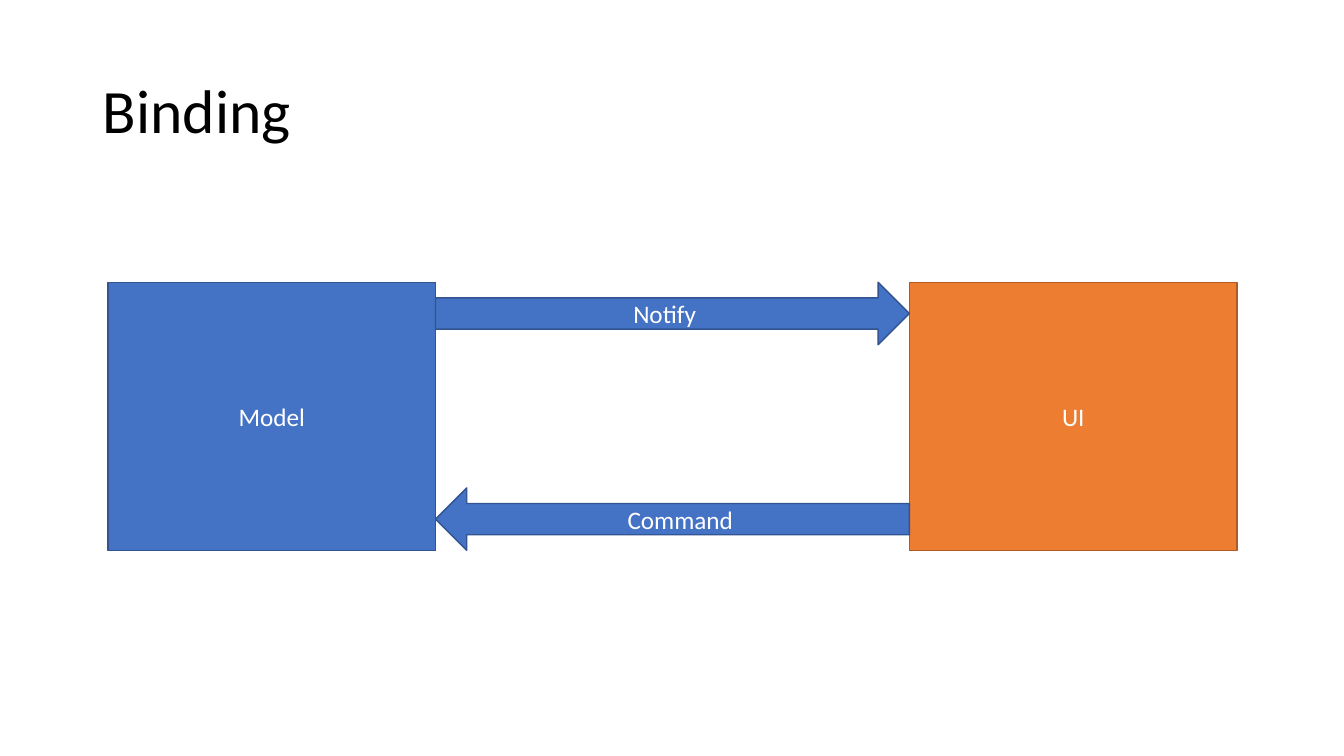
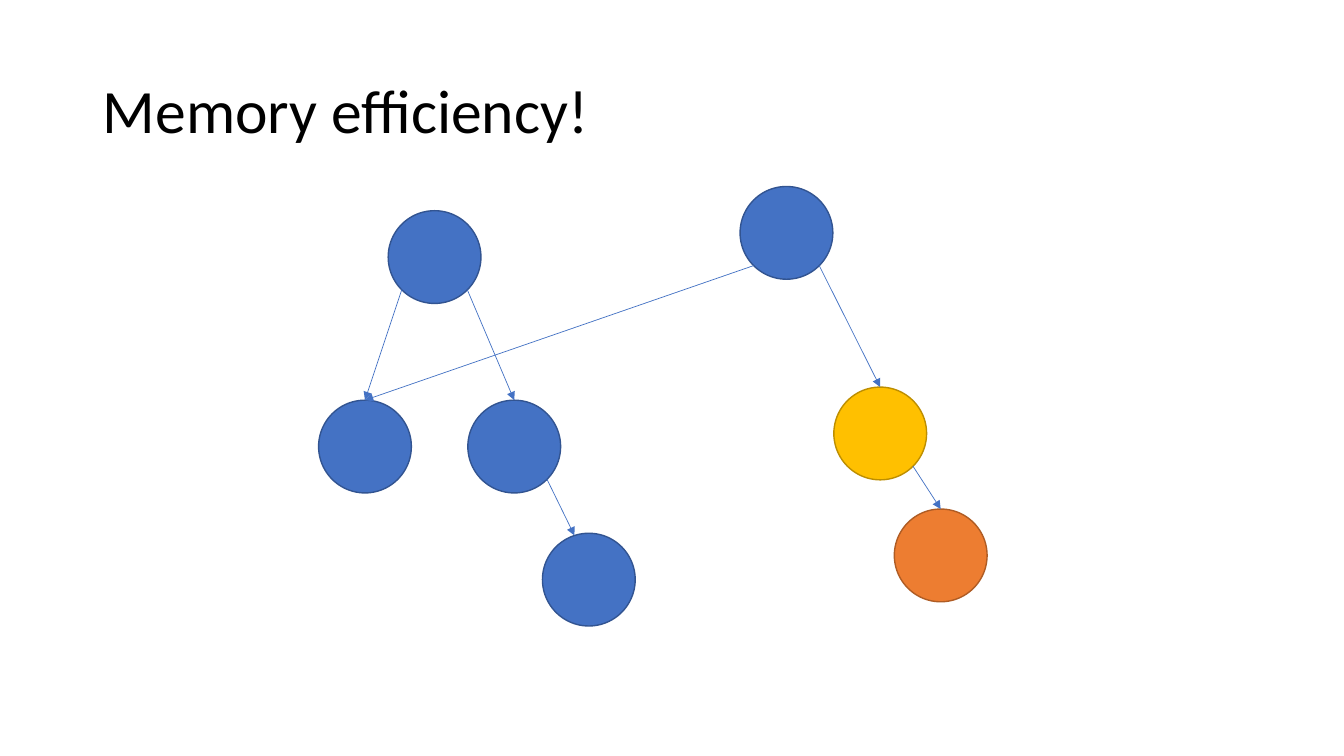
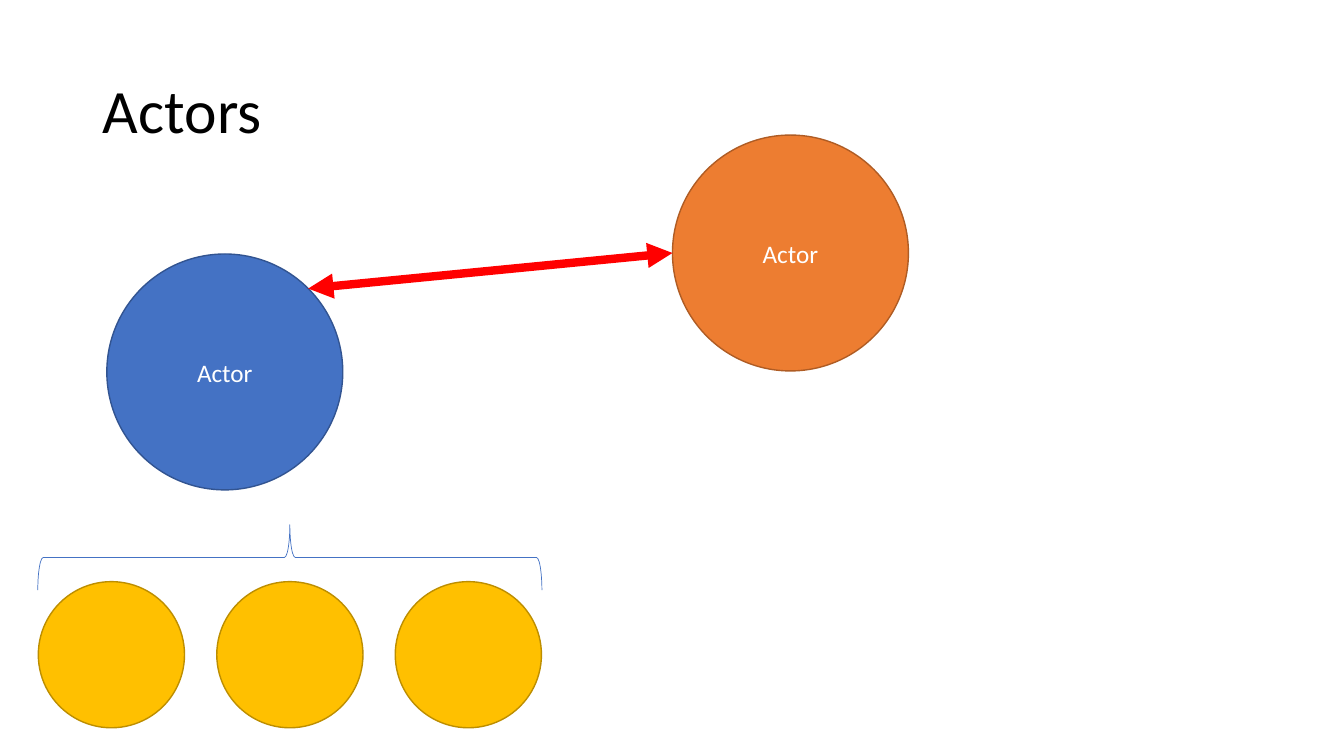
from dataclasses import dataclass
from math import cos, radians, sin

from lxml.etree import SubElement
from pptx import Presentation
from pptx.dml.color import RGBColor
from pptx.enum.shapes import MSO_CONNECTOR, MSO_SHAPE
from pptx.enum.text import MSO_ANCHOR, PP_ALIGN
from pptx.oxml.ns import qn
from pptx.shapes.autoshape import Shape
from pptx.slide import Slide
from pptx.util import Inches, Pt


@dataclass(frozen=True)
class Paint:
    """Fill and outline colour of a shape."""
    fill: RGBColor
    edge: RGBColor


@dataclass(frozen=True)
class Theme:
    """Colours, font and sizes shared by all slides."""
    blue: Paint = Paint(RGBColor(0x44, 0x72, 0xC4), RGBColor(0x32, 0x54, 0x91))
    orange: Paint = Paint(RGBColor(0xED, 0x7D, 0x31), RGBColor(0xAF, 0x5C, 0x24))
    gold: Paint = Paint(RGBColor(0xFF, 0xC0, 0x00), RGBColor(0xBD, 0x8E, 0x00))
    black: RGBColor = RGBColor(0, 0, 0)
    white: RGBColor = RGBColor(0xFF, 0xFF, 0xFF)
    red: RGBColor = RGBColor(0xFF, 0, 0)
    font: str = "Calibri"
    title: float = 44
    label: float = 18
    edge: float = 1
    thin: float = 0.5
    thick: float = 6


THEME = Theme()
TOP, LEFT = 270, 180
LOW_LEFT, LOW_RIGHT, UP_RIGHT = 135, 45, 315


@dataclass(frozen=True)
class Box:
    """A filled preset shape, in inches."""
    kind: MSO_SHAPE
    x: float
    y: float
    wide: float
    high: float
    paint: Paint
    text: str = ""

    def rim(self, angle: float) -> tuple[float, float]:
        """Return the point of the inscribed ellipse at a clockwise angle."""
        turn = radians(angle)
        return (self.x + self.wide / 2 * (1 + cos(turn)),
                self.y + self.high / 2 * (1 + sin(turn)))


@dataclass(frozen=True)
class Link:
    """An arrow between the rims of two named discs."""
    start: str
    leave: float
    end: str
    enter: float = TOP


def disc(x: float, y: float, size: float, paint: Paint, text: str = "") -> Box:
    """Describe a circle."""
    return Box(MSO_SHAPE.OVAL, x, y, size, size, paint, text)


def add_run(frame, text: str, size: float, color: RGBColor) -> None:
    """Add one styled run to the first paragraph."""
    run = frame.paragraphs[0].add_run()
    run.text = text
    run.font.name = THEME.font
    run.font.size = Pt(size)
    run.font.color.rgb = color


def add_slide(deck, title: str) -> Slide:
    """Add a slide with the shared title style."""
    slide = deck.slides.add_slide(deck.slide_layouts[5])
    head = slide.shapes.title
    head.left, head.top = Inches(0.92), Inches(0.4)
    head.width, head.height = Inches(11.5), Inches(1.45)
    frame = head.text_frame
    frame.vertical_anchor = MSO_ANCHOR.MIDDLE
    frame.paragraphs[0].alignment = PP_ALIGN.LEFT
    frame.paragraphs[0].line_spacing = 0.9
    add_run(frame, title, THEME.title, THEME.black)
    return slide


def add_box(shapes, box: Box) -> Shape:
    """Draw a filled shape with its label."""
    shape = shapes.add_shape(box.kind, Inches(box.x), Inches(box.y),
                             Inches(box.wide), Inches(box.high))
    shape.shadow.inherit = False
    shape.fill.solid()
    shape.fill.fore_color.rgb = box.paint.fill
    shape.line.color.rgb = box.paint.edge
    shape.line.width = Pt(THEME.edge)
    if box.text:
        frame = shape.text_frame
        frame.vertical_anchor = MSO_ANCHOR.MIDDLE
        frame.paragraphs[0].alignment = PP_ALIGN.CENTER
        add_run(frame, box.text, THEME.label, THEME.white)
    return shape


def add_links(slide: Slide, discs: dict[str, Box], links: list[Link],
              color: RGBColor, width: float, ends: tuple[str, ...]) -> None:
    """Draw the discs and the arrows that join them."""
    drawn = {name: add_box(slide.shapes, box) for name, box in discs.items()}
    for link in links:
        start = discs[link.start].rim(link.leave)
        end = discs[link.end].rim(link.enter)
        line = slide.shapes.add_connector(
            MSO_CONNECTOR.STRAIGHT, *(Inches(n) for n in (*start, *end)))
        if link.enter == TOP:
            line.end_connect(drawn[link.end], 0)
        line.line.color.rgb = color
        line.line.width = Pt(width)
        props = line._element.spPr
        for tip in ends:
            SubElement(props.find(qn("a:ln")), qn(tip), type="triangle")
        SubElement(props, qn("a:effectLst"))


def draw_binding(deck) -> None:
    """Draw the model and the UI with the arrows between them."""
    shapes = add_slide(deck, "Binding").shapes.add_group_shape().shapes
    left, top, wide, high, gap, arrow = 1.07, 2.8, 3.25, 2.66, 4.7, 0.62
    mid = left + wide
    for box in (
        Box(MSO_SHAPE.RECTANGLE, left, top, wide, high, THEME.blue, "Model"),
        Box(MSO_SHAPE.RECTANGLE, mid + gap, top, wide, high, THEME.orange, "UI"),
        Box(MSO_SHAPE.RIGHT_ARROW, mid, top, gap, arrow, THEME.blue, "Notify"),
        Box(MSO_SHAPE.LEFT_ARROW, mid, top + high - arrow, gap, arrow,
            THEME.blue, "Command"),
    ):
        add_box(shapes, box)


def draw_memory(deck) -> None:
    """Draw two trees that share a node."""
    slide = add_slide(deck, "Memory efficiency!")
    size = 0.92
    discs = {
        "old": disc(3.85, 2.09, size, THEME.blue),
        "shared": disc(3.16, 3.97, size, THEME.blue),
        "right": disc(4.64, 3.97, size, THEME.blue),
        "leaf": disc(5.38, 5.29, size, THEME.blue),
        "new": disc(7.34, 1.85, size, THEME.blue),
        "fresh": disc(8.87, 5.05, size, THEME.orange),
        "branch": disc(8.27, 3.84, size, THEME.gold),
    }
    links = [
        Link("old", LOW_RIGHT, "right"),
        Link("old", LOW_LEFT, "shared"),
        Link("right", LOW_RIGHT, "leaf", 252),
        Link("new", LOW_RIGHT, "branch"),
        Link("new", LOW_LEFT, "shared"),
        Link("branch", LOW_RIGHT, "fresh"),
    ]
    add_links(slide, discs, links, THEME.blue.fill, THEME.thin, ("a:tailEnd",))


def draw_actors(deck) -> None:
    """Draw two actors and the braced row of discs."""
    slide = add_slide(deck, "Actors")
    size = 2.34
    discs = {
        "first": disc(1.06, 2.52, size, THEME.blue, "Actor"),
        "second": disc(6.67, 1.34, size, THEME.orange, "Actor"),
    }
    add_links(slide, discs, [Link("first", UP_RIGHT, "second", LEFT)],
              THEME.red, THEME.thick, ("a:headEnd", "a:tailEnd"))
    shapes = slide.shapes.add_group_shape().shapes
    for step in range(3):
        add_box(shapes, disc(0.38 + 1.77 * step, 5.77, 1.45, THEME.gold))
    brace = shapes.add_shape(MSO_SHAPE.RIGHT_BRACE, Inches(2.55), Inches(3.03),
                             Inches(0.65), Inches(5))
    brace.rotation = 270
    brace.shadow.inherit = False
    brace.fill.background()
    brace.line.color.rgb = THEME.blue.fill
    brace.line.width = Pt(THEME.thin)


def main() -> None:
    """Build and save the deck."""
    deck = Presentation()
    deck.slide_width, deck.slide_height = Inches(13.33), Inches(7.5)
    draw_binding(deck)
    draw_memory(deck)
    draw_actors(deck)
    deck.save("out.pptx")


if __name__ == "__main__":
    main()
